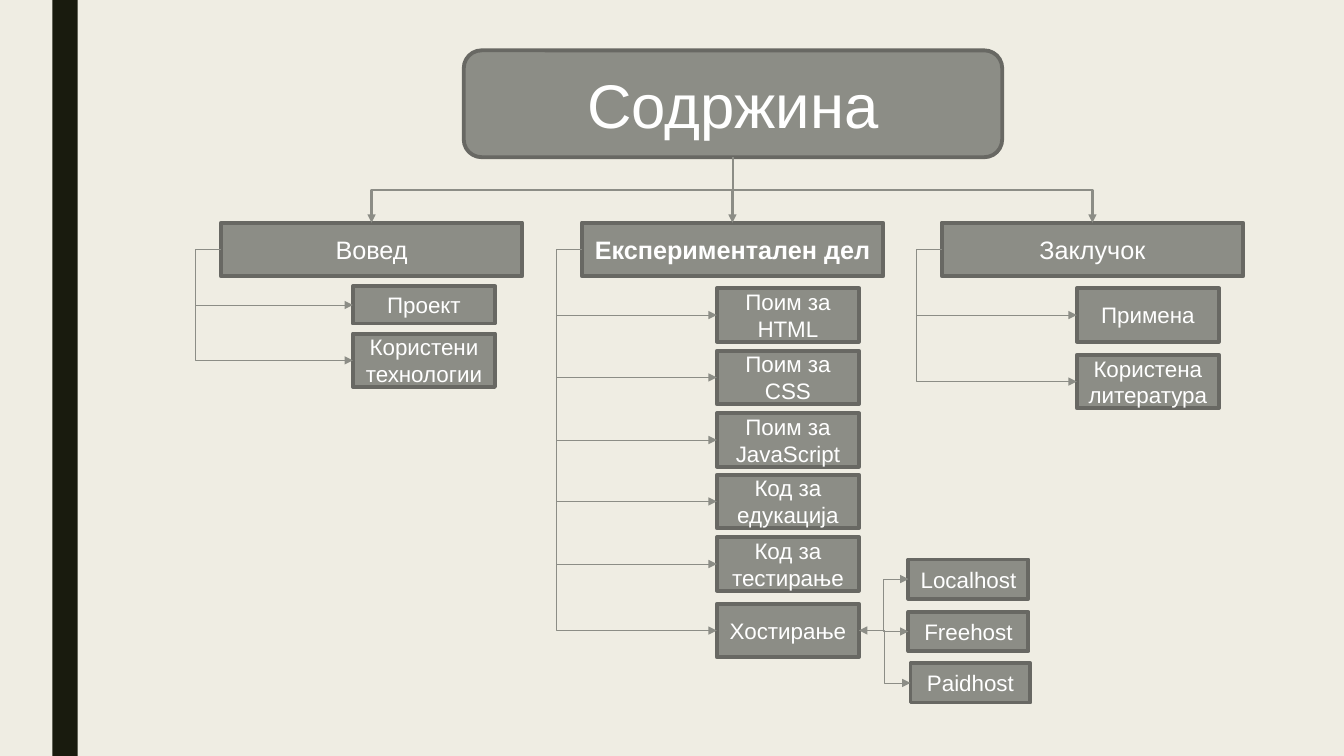
from lxml.etree import SubElement
from pptx import Presentation
from pptx.dml.color import RGBColor
from pptx.enum.shapes import MSO_CONNECTOR as Connector, MSO_SHAPE as Preset
from pptx.enum.text import MSO_ANCHOR as Anchor, PP_ALIGN as Align
from pptx.oxml.ns import qn
from pptx.util import Inches, Pt

FONT = "Arial"
PAPER, BAR, BOX, BORDER, WHITE = "EFEDE3", "191B0E", "8C8D86", "686863", "FFFFFF"
TOP, LEFT, BOTTOM, RIGHT = range(4)
HEADING_TOP, HEADING_WIDTH, BOX_HEIGHT = 2.21, 2.99, 0.53
ITEM_WIDTH, HOST_WIDTH, HOST_HEIGHT = 1.41, 1.19, 0.39
SPINE_GAP = 0.25

SECTIONS = [
    ("Вовед", False, 2.19, 3.5, [
        ("Проект", 2.84, 0.37),
        ("Користени технологии", 3.31, BOX_HEIGHT)]),
    ("Експериментален дел", True, 5.77, 7.11, [
        ("Поим за HTML", 2.86, BOX_HEIGHT),
        ("Поим за CSS", 3.48, BOX_HEIGHT),
        ("Поим за JavaScript", 4.1, BOX_HEIGHT),
        ("Код за едукација", 4.71, BOX_HEIGHT),
        ("Код за тестирање", 5.33, BOX_HEIGHT),
        ("Хостирање", 5.99, BOX_HEIGHT)]),
    ("Заклучок", False, 9.34, 10.68, [
        ("Примена", 2.86, BOX_HEIGHT),
        ("Користена литература", 3.52, BOX_HEIGHT)]),
]
HOSTS = [("Localhost", 9.01, 5.55), ("Freehost", 9.01, 6.07), ("Paidhost", 9.03, 6.58)]


def color(value):
    """Turn a hex string into a colour."""
    return RGBColor.from_string(value)


def write(shape, text, size, bold=False):
    """Put one centred run of white text in a shape."""
    frame = shape.text_frame
    frame.word_wrap = True
    frame.vertical_anchor = Anchor.MIDDLE
    paragraph = frame.paragraphs[0]
    paragraph.alignment = Align.CENTER
    run = paragraph.add_run()
    run.text = text
    run.font.name = FONT
    run.font.size = Pt(size)
    run.font.bold = bold
    run.font.color.rgb = color(WHITE)


def add_panel(slide, box, fill, border=None, preset=Preset.RECTANGLE):
    """Add a flat filled shape with an optional border."""
    shape = slide.shapes.add_shape(preset, *(Inches(length) for length in box))
    shape.shadow.inherit = False
    shape.fill.solid()
    shape.fill.fore_color.rgb = color(fill)
    if border:
        shape.line.color.rgb = color(border)
        shape.line.width = Pt(2.75)
    else:
        shape.line.fill.background()
    return shape


def add_node(slide, box, text, size, bold=False):
    """Add a bordered rectangle with its label."""
    shape = add_panel(slide, box, BOX, BORDER)
    write(shape, text, size, bold)
    return shape


def add_elbow(slide, parent, parent_site, child, child_site, width, both_ends=False):
    """Join two shapes with a bent arrow."""
    connector = slide.shapes.add_connector(Connector.ELBOW, 0, 0, 0, 0)
    connector.begin_connect(parent, parent_site)
    connector.end_connect(child, child_site)
    connector.line.color.rgb = color(BOX)
    connector.line.width = Pt(width)
    line = connector.line._get_or_add_ln()
    for end in ("headEnd", "tailEnd") if both_ends else ("tailEnd",):
        SubElement(line, qn(f"a:{end}"), type="triangle")
    SubElement(connector.element.spPr, qn("a:effectLst"))
    return connector


def orient(connector, degrees, flips):
    """Set the rotation and flips of a connector."""
    transform = connector.element.spPr.find(qn("a:xfrm"))
    for flip in ("flipH", "flipV"):
        transform.attrib.pop(flip, None)
    transform.set("rot", str(degrees * 60000))
    for flip in flips:
        transform.set(flip, "1")


def add_drop(slide, title_box, heading):
    """Run an arrow down from the title box to a heading."""
    connector = add_elbow(slide, title_box, BOTTOM, heading, TOP, 1.5)
    begin_x, begin_y = connector.begin_x, connector.begin_y
    end_x, end_y = connector.end_x, connector.end_y
    width, height = end_y - begin_y, abs(end_x - begin_x)
    connector.left = (begin_x + end_x - width) // 2
    connector.top = (begin_y + end_y - height) // 2
    connector.width, connector.height = width, height
    if end_x > begin_x:
        orient(connector, 270, ["flipH"])
    else:
        orient(connector, 90, [])


def add_branch(slide, heading, item):
    """Run an arrow from a heading round its left side to an item."""
    connector = add_elbow(slide, heading, LEFT, item, LEFT, 0.5)
    turn = -round(Inches(SPINE_GAP) / connector.width * 100000)
    adjustments = connector.element.spPr.find(".//" + qn("a:avLst"))
    SubElement(adjustments, qn("a:gd"), name="adj1", fmla=f"val {turn}")
    orient(connector, 180, ["flipH", "flipV"])


def add_title(slide, box):
    """Place the title on its rounded panel and return the panel."""
    panel = add_panel(slide, box, BOX, BORDER, Preset.ROUNDED_RECTANGLE)
    title = slide.shapes.title
    title.left, title.top, title.width, title.height = (Inches(length) for length in box)
    write(title, "Содржина", 44)
    panel.element.addnext(title.element)
    return panel


def add_section(slide, title_box, label, bold, left, item_left, items):
    """Add a heading with its items and return the last item."""
    heading = add_node(slide, (left, HEADING_TOP, HEADING_WIDTH, BOX_HEIGHT), label, 18, bold)
    add_drop(slide, title_box, heading)
    for text, top, height in items:
        item = add_node(slide, (item_left, top, ITEM_WIDTH, height), text, 16)
        add_branch(slide, heading, item)
    return item


def add_hosts(slide, hosting):
    """Add the kinds of host to the right of the hosting item."""
    for index, (text, left, top) in enumerate(HOSTS):
        host = add_node(slide, (left, top, HOST_WIDTH, HOST_HEIGHT), text, 16)
        add_elbow(slide, hosting, RIGHT, host, LEFT, 0.5, both_ends=index == 0)


def main():
    """Build the contents slide and save it."""
    presentation = Presentation()
    presentation.slide_width, presentation.slide_height = Inches(13.33), Inches(7.5)
    slide = presentation.slides.add_slide(presentation.slide_layouts.get_by_name("Title Only"))
    slide.background.fill.solid()
    slide.background.fill.fore_color.rgb = color(PAPER)
    add_panel(slide, (0.52, 0, 0.25, 7.5), BAR)
    title_box = add_title(slide, (4.6, 0.5, 5.34, 1.06))
    last_items = [add_section(slide, title_box, *section) for section in SECTIONS]
    add_hosts(slide, last_items[1])
    presentation.save("out.pptx")


if __name__ == "__main__":
    main()
